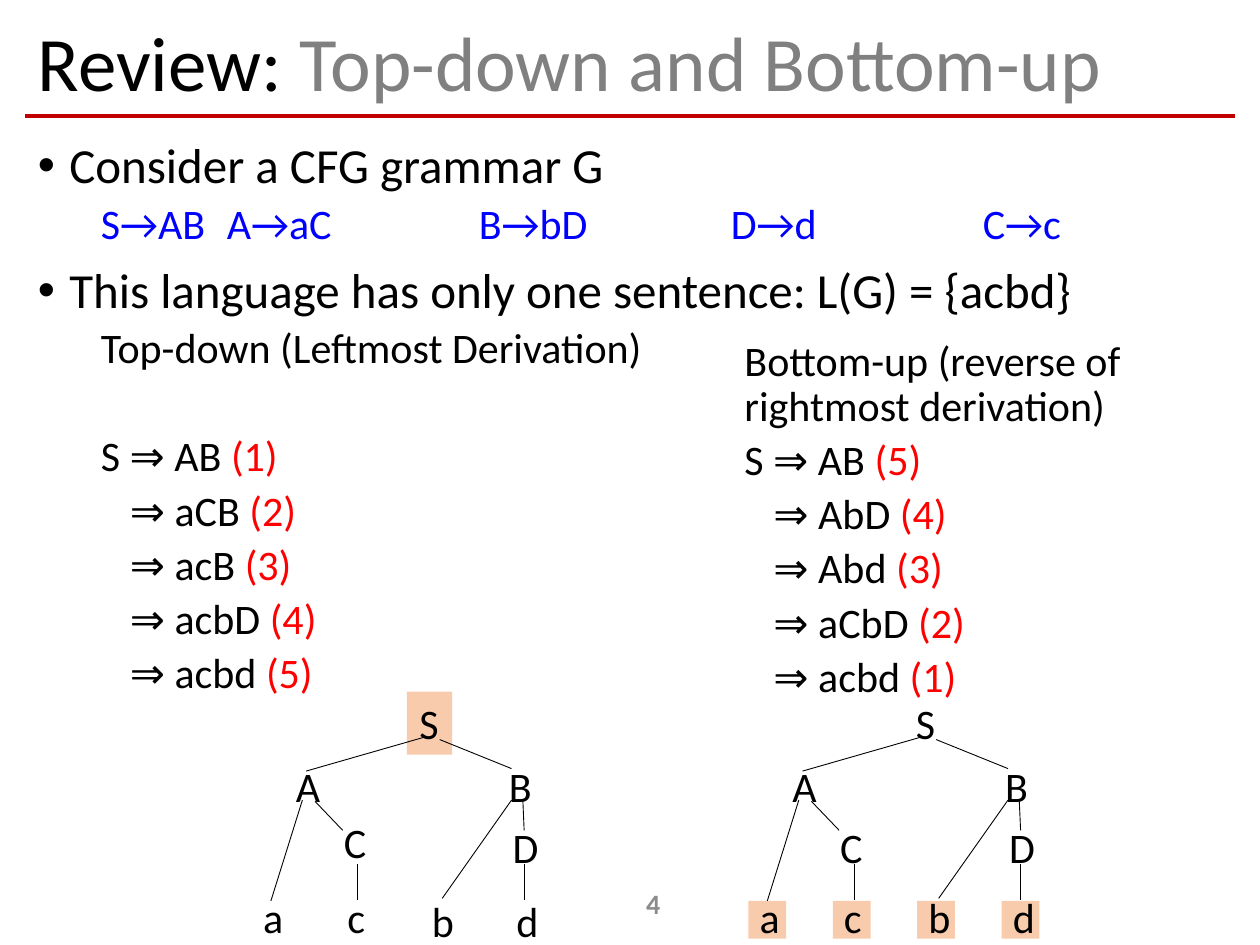
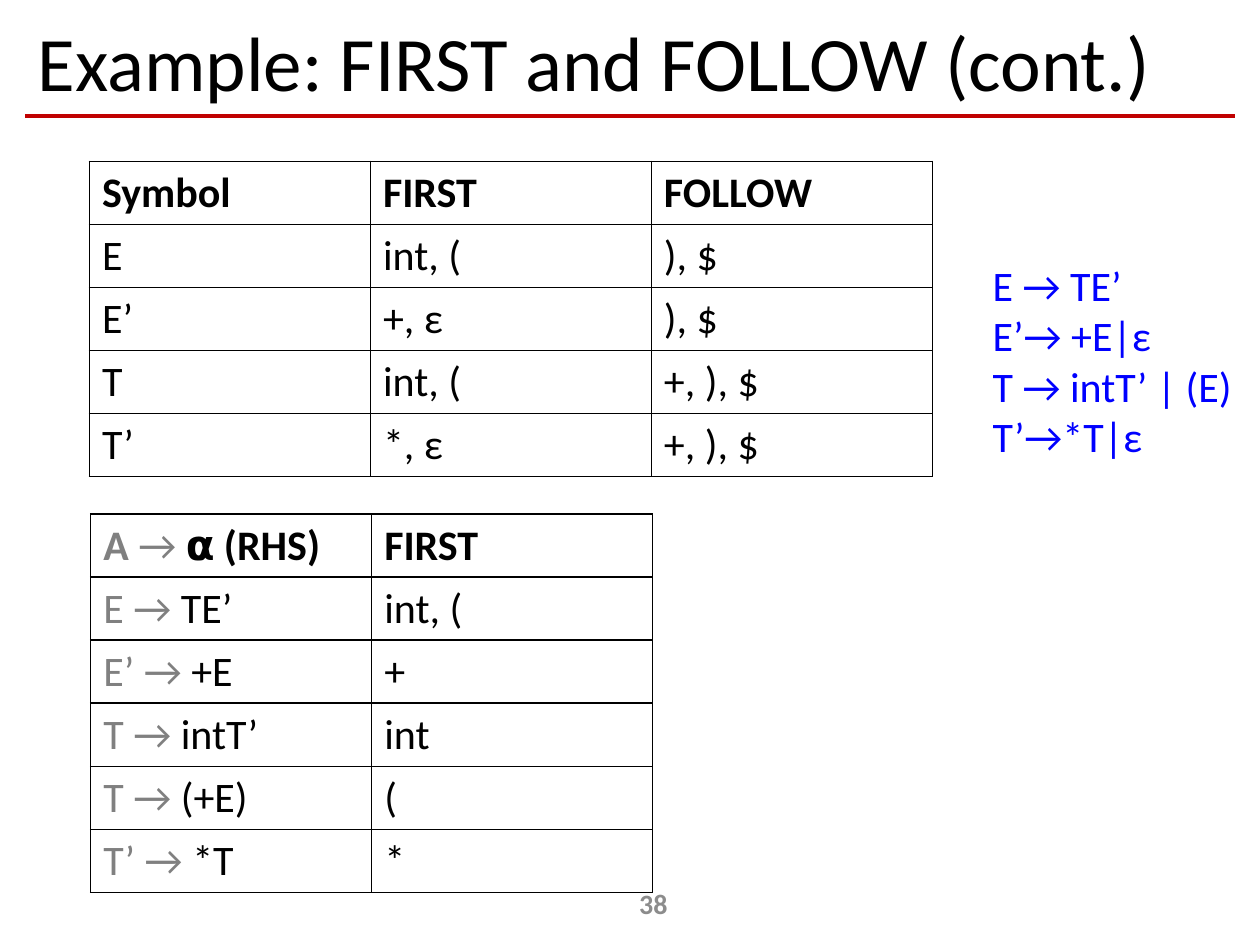
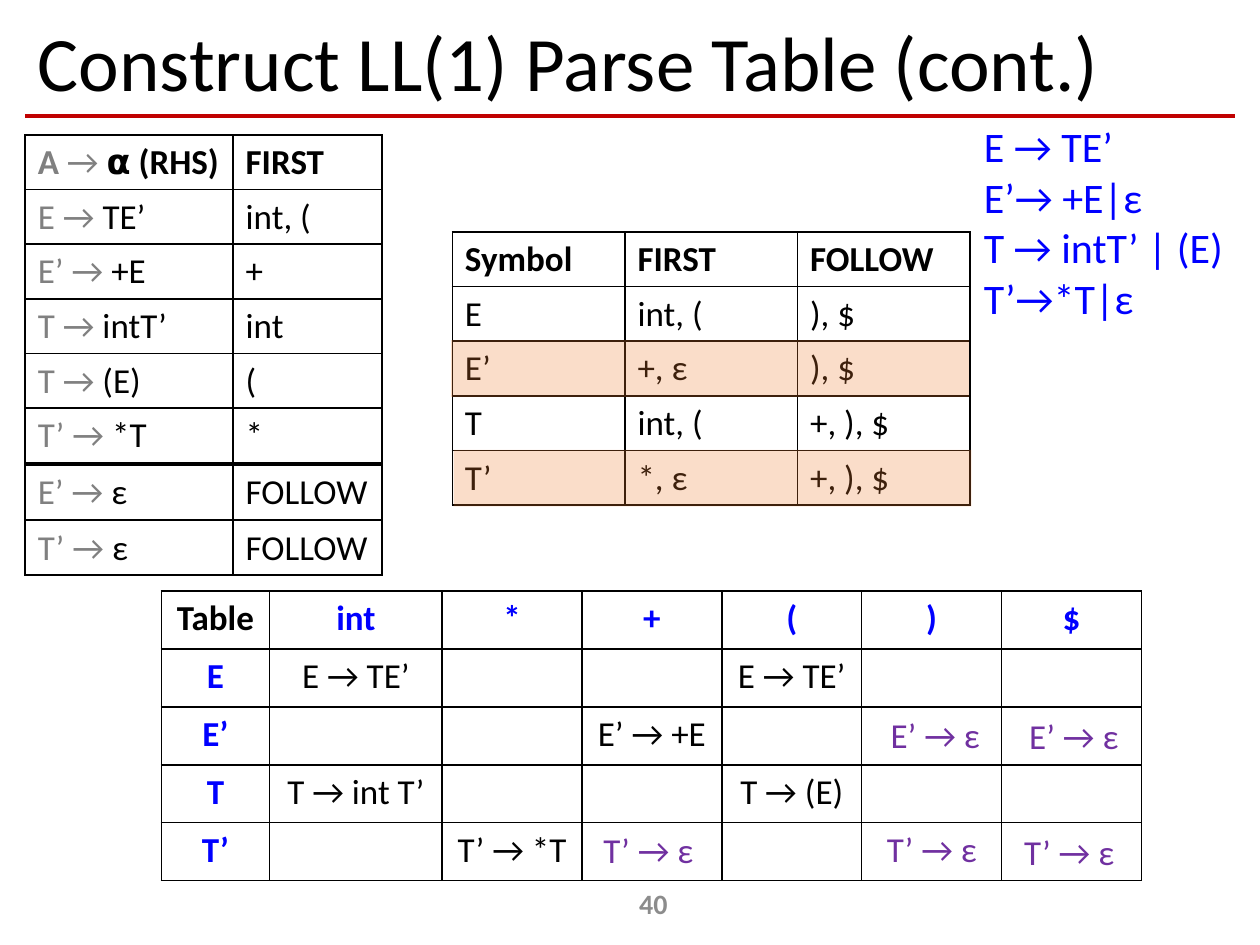
from dataclasses import dataclass

import pptx
import pptx.dml.color
import pptx.enum.shapes
import pptx.enum.text
import pptx.oxml
import pptx.oxml.ns
import pptx.util
from lxml import etree
from pptx.util import Inches

ALIGN = pptx.enum.text.PP_ALIGN
ANCHOR = pptx.enum.text.MSO_ANCHOR
RECTANGLE = pptx.enum.shapes.MSO_SHAPE.RECTANGLE
STRAIGHT = pptx.enum.shapes.MSO_CONNECTOR.STRAIGHT
qn = pptx.oxml.ns.qn


@dataclass(frozen=True)
class Theme:
    font: str = "Calibri"
    black: str = "000000"
    gray: str = "808080"
    page_gray: str = "8C8C8C"
    red: str = "FF0000"
    blue: str = "0000FF"
    purple: str = "7030A0"
    rule: str = "C00000"
    peach: str = "F8CBAD"
    orange: str = "ED7D31"
    title: int = 44
    bullet: int = 28
    text: int = 24
    small: int = 20
    page: int = 16


THEME = Theme()
GRAY = {"color": THEME.gray}

# Content: a text is a string or a list of strings and (string, format) pairs.


def production(left_side, right_side):
    return [(f"{left_side} → ", GRAY), right_side]


REVIEW_TITLE = ["Review: ", ("Top-down and Bottom-up", GRAY)]
GRAMMAR_G = "S→AB \tA→aC \t\tB→bD \t\tD→d \t\tC→c"
TOP_DOWN = [("AB", 1), ("aCB", 2), ("acB", 3), ("acbD", 4), ("acbd", 5)]
BOTTOM_UP = [("AB", 5), ("AbD", 4), ("Abd", 3), ("aCbD", 2), ("acbd", 1)]

# Parse tree: left, top and width of each node, then the branches.
NODES = {
    "S": (3.23, 5.49, 0.36),
    "A": (2.25, 5.99, 0.4), "B": (3.94, 5.99, 0.4),
    "C": (2.63, 6.47, 0.38), "D": (3.97, 6.47, 0.41),
    "a": (1.99, 7.03, 0.36), "c": (2.66, 7.03, 0.34),
    "b": (3.33, 7.03, 0.38), "d": (4, 7.03, 0.38),
}
BRANCHES = [
    (3.37, 5.85, 2.43, 6.12), (3.49, 5.87, 4.06, 6.1),
    (2.5, 6.36, 2.72, 6.59), (2.4, 6.35, 2.15, 7.15),
    (4.06, 6.35, 3.51, 7.13), (4.15, 6.36, 4.16, 6.59),
    (2.84, 6.86, 2.84, 7.14), (4.16, 6.86, 4.16, 7.14),
]
TOP_DOWN_TOPS = {"C": 6.43, "b": 7.06, "d": 7.06}
BOTTOM_UP_SHIFT = 3.94

GRAMMAR = ["E → TE’", "E’→ +E|ε", "T → intT’ | (E)", "T’→*T|ε"]
SYMBOL_SETS = [
    ("Symbol", "FIRST", "FOLLOW"),
    ("E", "int, (", "), $"),
    ("E’", "+, ε", "), $"),
    ("T", "int, (", "+, ), $"),
    ("T’", "*, ε", "+, ), $"),
]
RHS_HEADER = [("A ", GRAY), ("→ ", {"color": THEME.gray, "bold": False}), "⍺ (RHS)"]


def rhs_sets(parenthesized):
    """Rows of the right-hand-side table; one rule differs between slides."""
    return [
        (RHS_HEADER, "FIRST"),
        (production("E", "TE’"), "int, ("),
        (production("E’", "+E"), "+"),
        (production("T", "intT’"), "int"),
        (production("T", parenthesized), "("),
        (production("T’", "*T"), "*"),
    ]


EPSILON_RULES = [("E’", 3.69), ("T’", 4.13)]
PARSE_TABLE = [
    ([("Table", {"color": THEME.black})], "int", "*", "+", "(", ")", "$"),
    ("E", "E → TE’", "", "", "E → TE’", "", ""),
    ("E’", "", "", "E’ → +E", "", "", ""),
    ("T", "T → int T’", "", "", "T → (E)", "", ""),
    ("T’", "", "T’ → *T", "", "", "", ""),
]
EPSILON_ENTRIES = [
    ("E’ → ε", 6.97, 5.61), ("E’ → ε", 8.07, 5.62),
    ("T’ → ε", 4.69, 6.53), ("T’ → ε", 6.94, 6.52), ("T’ → ε", 8.03, 6.54),
]
NULLABLE_BANDS = [(3.58, 2.7), (3.6, 3.57)]


def rgb(color):
    return pptx.dml.color.RGBColor.from_string(color)


def write(frame, text, *, size=THEME.text, color=THEME.black, bold=False, align=ALIGN.LEFT,
          level=0, indent=0, hanging=0, before=0, line=1.0):
    """Add one paragraph to the frame; a hanging indent keeps the bullet."""
    paragraph = frame.paragraphs[0]
    if paragraph.runs:
        paragraph = frame.add_paragraph()
    paragraph.alignment = align
    paragraph.level = level
    paragraph.line_spacing = line
    paragraph.space_before = pptx.util.Pt(before)
    properties = paragraph._p.get_or_add_pPr()
    properties.set("marL", str(Inches(indent)))
    properties.set("indent", str(Inches(-hanging)))
    properties.set("defTabSz", str(Inches(1)))
    if not hanging:
        etree.SubElement(properties, qn("a:buNone"))
    for part in [text] if isinstance(text, str) else text:
        words, changes = (part, {}) if isinstance(part, str) else part
        run = paragraph.add_run()
        run.text = words
        run.font.name = THEME.font
        run.font.size = pptx.util.Pt(size)
        run.font.bold = changes.get("bold", bold)
        run.font.color.rgb = rgb(changes.get("color", color))


def place(shape, left, top, width, height):
    shape.left, shape.top = Inches(left), Inches(top)
    shape.width, shape.height = Inches(width), Inches(height)


def add_box(slide, left, top, width, height, wrap=False):
    box = slide.shapes.add_textbox(*map(Inches, (left, top, width, height)))
    box.text_frame.word_wrap = wrap
    return box


def add_rectangle(slide, left, top, width, height, color, opacity=None):
    rectangle = slide.shapes.add_shape(RECTANGLE, *map(Inches, (left, top, width, height)))
    rectangle.shadow.inherit = False
    rectangle.line.fill.background()
    rectangle.fill.solid()
    rectangle.fill.fore_color.rgb = rgb(color)
    if opacity is not None:
        fill_color = rectangle.element.spPr.find(".//" + qn("a:srgbClr"))
        etree.SubElement(fill_color, qn("a:alpha"), val=str(opacity * 1000))


def add_line(slide, x1, y1, x2, y2, color=THEME.black, width=0.5):
    line = slide.shapes.add_connector(STRAIGHT, *map(Inches, (x1, y1, x2, y2)))
    line.line.color.rgb = rgb(color)
    line.line.width = pptx.util.Pt(width)
    etree.SubElement(line.element.spPr, qn("a:effectLst"))
    return line


def add_borders(cell):
    properties = cell._tc.get_or_add_tcPr()
    for side in ("lnL", "lnR", "lnT", "lnB"):
        border = etree.SubElement(properties, qn(f"a:{side}"), w=str(pptx.util.Pt(1)))
        fill = etree.SubElement(border, qn("a:solidFill"))
        etree.SubElement(fill, qn("a:srgbClr"), val=THEME.black)


def add_grid(slide, left, top, columns, row_height, rows, *, size=THEME.text,
             header=True, align=ALIGN.LEFT, label_color=None):
    """Add a bordered table; label_color marks its first row and column."""
    frame = slide.shapes.add_table(len(rows), len(columns), Inches(left), Inches(top),
                                   Inches(sum(columns)), Inches(row_height * len(rows)))
    table = frame.table
    table.first_row = table.horz_banding = False
    for column, width in zip(table.columns, columns):
        column.width = Inches(width)
    for r, row in enumerate(rows):
        for c, text in enumerate(row):
            cell = table.cell(r, c)
            add_borders(cell)
            cell.fill.background()
            is_label = (header and r == 0) or (label_color and c == 0)
            if text:
                write(cell.text_frame, text, size=size, bold=bool(is_label), align=align,
                      color=label_color if is_label and label_color else THEME.black)


def add_slide(deck, layout, title, number):
    slide = deck.slides.add_slide(deck.slide_layouts.get_by_name(layout))
    heading = slide.shapes.title
    place(heading, 0.2, 0.13, 9.61, 0.79)
    heading.text_frame.vertical_anchor = ANCHOR.MIDDLE
    heading.text_frame.auto_size = pptx.enum.text.MSO_AUTO_SIZE.NONE
    write(heading.text_frame, title, size=THEME.title, line=0.9)
    page = add_box(slide, 4.06, 6.97, 2.25, 0.4, wrap=True).text_frame
    page.vertical_anchor = ANCHOR.MIDDLE
    write(page, str(number), size=THEME.page, color=THEME.page_gray, bold=True,
          align=ALIGN.CENTER)
    return slide


def add_master_rule(deck, slide):
    """Draw the title rule and hand it to the master, so all slides share it."""
    rule = add_line(slide, 0.2, 0.92, 9.8, 0.92, THEME.rule, 2.5)
    deck.slide_master.element.cSld.spTree.append(rule.element)


def write_derivation(frame, steps, first_gap=5):
    for i, (form, number) in enumerate(steps):
        start, indent, before = ("S ⇒", 0.5, first_gap) if i == 0 else ("⇒", 0.73, 5)
        write(frame, [f"{start} {form} ", (f"({number})", {"color": THEME.red})],
              level=1, indent=indent, before=before, line=0.9)


def add_tree(slide, shift=0, tops=None, filled=()):
    for letter, (left, top, width) in NODES.items():
        top = (tops or {}).get(letter, top)
        node = add_box(slide, left + shift, top, width, 0.5)
        if letter in filled:
            node.fill.solid()
            node.fill.fore_color.rgb = rgb(THEME.peach)
        write(node.text_frame, letter)
    for x1, y1, x2, y2 in BRANCHES:
        add_line(slide, x1 + shift, y1, x2 + shift, y2)


def add_grammar(slide, left, top):
    frame = add_box(slide, left, top, 2.1, 1.72).text_frame
    for rule in GRAMMAR:
        write(frame, rule, color=THEME.blue)


def build_review(deck):
    slide = add_slide(deck, "Title and Content", REVIEW_TITLE, 4)
    add_master_rule(deck, slide)
    bullet = {"size": THEME.bullet, "indent": 0.25, "hanging": 0.25, "before": 10, "line": 0.9}
    detail = {"level": 1, "indent": 0.5, "before": 5, "line": 0.9}

    body = slide.placeholders[1]
    place(body, 0.2, 1.07, 9.61, 5.68)
    body.text_frame.auto_size = pptx.enum.text.MSO_AUTO_SIZE.NONE
    write(body.text_frame, "Consider a CFG grammar G", **bullet)
    write(body.text_frame, GRAMMAR_G, color=THEME.blue, **detail)
    write(body.text_frame, "This language has only one sentence: L(G) = {acbd}", **bullet)
    write(body.text_frame, "Top-down (Leftmost Derivation)", **detail)
    write_derivation(body.text_frame, TOP_DOWN, first_gap=36)

    bottom_up = add_box(slide, 5.31, 2.65, 4.49, 3.15, wrap=True).text_frame
    write(bottom_up, "Bottom-up (reverse of rightmost derivation)", **detail)
    write_derivation(bottom_up, BOTTOM_UP)

    add_tree(slide, tops=TOP_DOWN_TOPS, filled="S")
    for leaf in range(4):
        add_rectangle(slide, 5.94 + 0.67 * leaf, 7.15, 0.3, 0.3, THEME.peach)
    add_tree(slide, shift=BOTTOM_UP_SHIFT)


def build_first_follow(deck):
    slide = add_slide(deck, "Title Only", "Example: FIRST and FOLLOW (cont.)", 38)
    add_grid(slide, 0.71, 1.28, [2.23] * 3, 0.5, SYMBOL_SETS)
    add_grid(slide, 0.72, 4.08, [2.23] * 2, 0.5, rhs_sets("(+E)"))
    add_grammar(slide, 7.78, 2.01)


def build_parse_table(deck):
    slide = add_slide(deck, "Title Only", "Construct LL(1) Parse Table (cont.)", 40)
    rhs_columns = [1.65, 1.18]
    add_grid(slide, 1.28, 4.69, [0.86, 1.37] + [1.11] * 5, 0.46, PARSE_TABLE,
             size=THEME.small, align=ALIGN.CENTER, label_color=THEME.blue)
    add_grid(slide, 0.2, 1.07, rhs_columns, 0.43, rhs_sets("(E)"), size=THEME.small)
    add_grammar(slide, 7.71, 0.91)
    add_grid(slide, 3.59, 1.84, [1.37] * 3, 0.43, SYMBOL_SETS, size=THEME.small)
    for symbol, top in EPSILON_RULES:
        add_grid(slide, 0.2, top, rhs_columns, 0.43, [(production(symbol, "ε"), "FOLLOW")],
                 size=THEME.small, header=False)
    for left, top in NULLABLE_BANDS:
        add_rectangle(slide, left, top, 4.11, 0.45, THEME.orange, opacity=26)
    for entry, left, top in EPSILON_ENTRIES:
        write(add_box(slide, left, top, 0.94, 0.44).text_frame, entry,
              size=THEME.small, color=THEME.purple)


def main():
    deck = pptx.Presentation()
    deck.slide_width, deck.slide_height = Inches(10), Inches(7.5)
    build_review(deck)
    build_first_follow(deck)
    build_parse_table(deck)
    deck.save("out.pptx")


if __name__ == "__main__":
    main()
